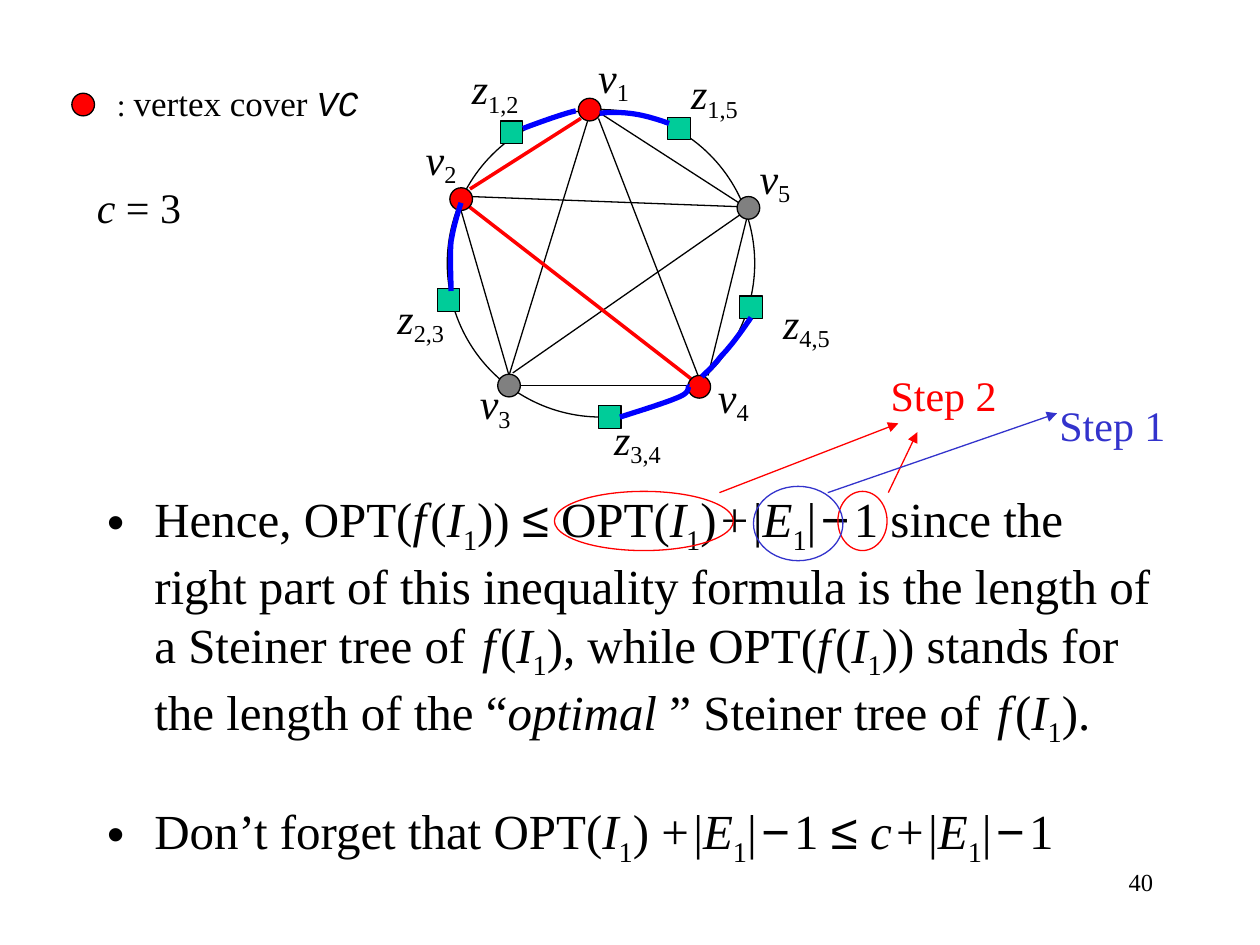
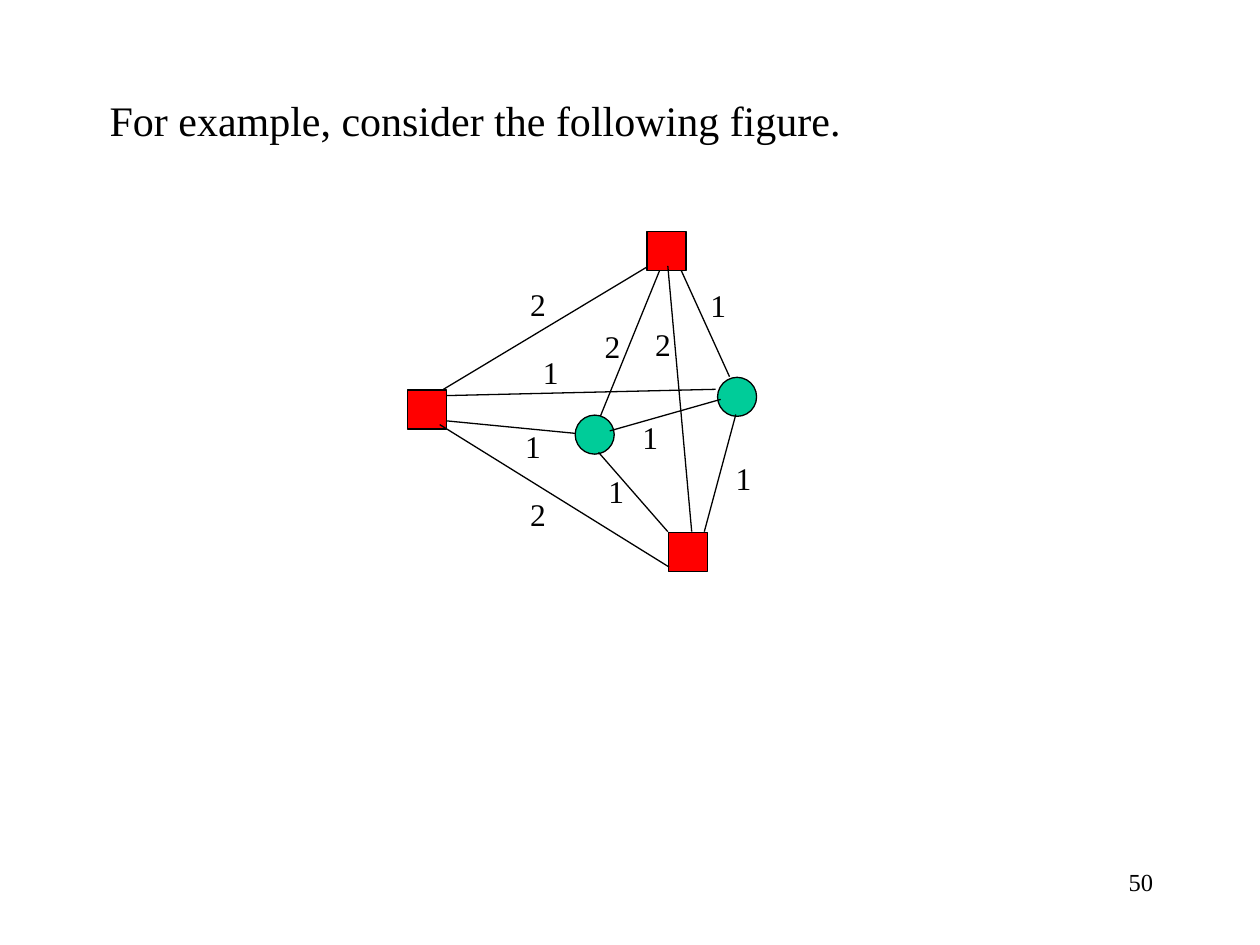
from itertools import groupby
from pptx import Presentation
from pptx.dml.color import RGBColor
from pptx.enum.shapes import MSO_CONNECTOR, MSO_SHAPE
from pptx.enum.text import MSO_ANCHOR, MSO_AUTO_SIZE, PP_ALIGN
from pptx.oxml.ns import qn
from pptx.util import Inches, Pt
from lxml.etree import SubElement

COLORS = {"black": "000000", "red": "FF0000", "blue": "0000FF", "indigo": "3333CC",
          "green": "00CC99", "gray": "808080"}
FONT, SYMBOL_FONT, CODE_FONT = "Times New Roman", "Arial", "Courier New"
SYMBOLS = "≤−"
THIN = 10  # point size of a thin space
CIRCLE, SQUARE = MSO_SHAPE.OVAL, MSO_SHAPE.RECTANGLE

# Text marks: *italic*, _subscript_, `code`, ^slightly smaller^, ~ thin space
MARKS = "*_`^"

# ---- Slide 1: vertex cover and Steiner tree ----
BULLETS = [
    "Hence, OPT(*f*~(*I*_1_)) ≤ OPT(*I*_1_)~+~|*E*_1_|~−~1 since the right part of this "
    "inequality formula is the length of a Steiner tree of ~*f*~(*I*_1_), while "
    "OPT(*f*~(*I*_1_)) stands for the length of the “*optimal *” Steiner tree of "
    "~*f*~(*I*_1_).",
    "Don’t forget that OPT(*I*_1_) +~|*E*_1_|~−~1 ≤ *c*~+~|*E*_1_|~−~1",
]
NOTES = [  # text, box, size, colour
    ("^: ^vertex cover `*VC*`", (0.83, 0.6, 2.44, 0.44), 20, "black"),
    ("*c* = 3", (0.67, 1.39, 2.28, 0.5), 24, "black"),
    ("Step 2", (6.97, 2.88, 2.13, 0.5), 24, "red"),
    ("Step 1", (8.31, 3.12, 1.3, 0.5), 24, "indigo"),
]
STEP_ARROWS = [
    ((5.71, 3.91), (7.13, 3.36), "red"),
    ((7.05, 3.91), (7.28, 3.43), "red"),
    ((6.57, 3.91), (8.39, 3.28), "indigo"),
]
STEP_RINGS = [
    ((4.4, 3.9, 1.42, 0.47), "red"),
    ((6.65, 3.9, 0.39, 0.47), "red"),
    ((5.98, 3.86, 0.71, 0.59), "indigo"),
]
GRAPH_RING = (3.55, 0.87, 2.44, 2.44)
COVER_EDGES = [((4.61, 0.94), (3.73, 1.5)), ((3.71, 1.63), (5.49, 3.01))]
GRAPH_EDGES = [
    ((3.65, 1.64), (4.04, 2.98)), ((4.12, 3.06), (5.46, 3.06)),
    ((5.62, 2.98), (5.93, 1.72)), ((4.75, 0.89), (5.88, 1.62)),
    ((4.67, 0.94), (4.04, 2.98)), ((4.75, 0.94), (5.54, 2.98)),
    ((3.73, 1.56), (5.85, 1.64)), ((5.88, 1.7), (4.07, 2.96)),
]
NODE = 0.18
GRAPH_NODES = [  # centre, shape, colour, label, label centre
    ((5.39, 1.02), SQUARE, "green", "*z*_1,5_", (5.67, 0.76)),
    ((5.96, 2.44), SQUARE, "green", "*z*_4,5_", (6.4, 2.58)),
    ((3.56, 2.38), SQUARE, "green", "*z*_2,3_", (3.34, 2.54)),
    ((4.84, 3.31), SQUARE, "green", "*z*_3,4_", (5.06, 3.5)),
    ((4.06, 1.05), SQUARE, "green", "*z*_1,2_", (3.93, 0.72)),
    ((4.68, 0.87), CIRCLE, "red", "*v*_1_", (4.87, 0.63)),
    ((3.66, 1.58), CIRCLE, "red", "*v*_2_", (3.5, 1.28)),
    ((4.04, 3.06), CIRCLE, "gray", "*v*_3_", (3.93, 3.22)),
    ((5.55, 3.07), CIRCLE, "red", "*v*_4_", (5.82, 3.17)),
    ((5.94, 1.65), CIRCLE, "gray", "*v*_5_", (6.15, 1.43)),
]
LEGEND_DOT = (0.66, 0.83)
TREE_CURVES = [  # start, then control, control, end of each cubic piece
    [(4.15, 1.02), (4.31, 0.96), (4.48, 0.9), (4.57, 0.88)],
    [(3.58, 2.31), (3.58, 2.18), (3.57, 2.04), (3.58, 1.92),
     (3.6, 1.8), (3.63, 1.7), (3.66, 1.61)],
    [(4.92, 3.31), (5.11, 3.25), (5.3, 3.19), (5.39, 3.15),
     (5.49, 3.11), (5.45, 3.06), (5.47, 3.07)],
    [(5.31, 0.98), (5.2, 0.94), (5.09, 0.91), (5, 0.9),
     (4.91, 0.89), (4.83, 0.89), (4.76, 0.9)],
    [(5.96, 2.52), (5.88, 2.64), (5.79, 2.76), (5.72, 2.83),
     (5.66, 2.91), (5.61, 2.95), (5.57, 2.99)],
]

# ---- Slide 2: weighted example ----
EXAMPLE_TITLE = "For example, consider the following figure."
BIG_NODE = 0.31
EXAMPLE_NODES = [
    ((5.85, 3.15), CIRCLE, "green"), ((4.72, 3.45), CIRCLE, "green"),
    ((5.46, 4.38), SQUARE, "red"), ((3.39, 3.25), SQUARE, "red"),
    ((5.29, 1.99), SQUARE, "red"),
]
WEIGHTED_EDGES = [  # from, to, weight, top left of the weight
    ((5.25, 2.11), (4.75, 3.34), 2, (4.7, 2.55)),
    ((5.79, 2.99), (5.39, 2.11), 1, (5.54, 2.22)),
    ((3.52, 3.09), (5.15, 2.11), 2, (4.11, 2.21)),
    ((5.3, 2.11), (5.49, 4.22), 2, (5.1, 2.53)),
    ((4.57, 3.44), (3.54, 3.34), 1, (4.07, 3.34)),
    ((4.84, 3.42), (5.72, 3.17), 1, (5, 3.27)),
    ((4.75, 3.59), (5.3, 4.22), 1, (4.73, 3.7)),
    ((5.84, 3.29), (5.59, 4.22), 1, (5.74, 3.59)),
    ((5.31, 4.5), (3.49, 3.37), 2, (4.11, 3.88)),
    ((3.54, 3.14), (5.68, 3.09), 1, (4.21, 2.75)),
]
EDGES_BEHIND = 3  # the first edges run under the nodes


def rgb(name):
    return RGBColor.from_string(COLORS[name])


def inches(values):
    return [Inches(v) for v in values]


def around(center, w, h):
    return center[0] - w / 2, center[1] - h / 2, w, h


def write(p, text, size, color="black", sub=-20):
    """Turn marked text into runs, one for each change of style."""
    styled, on = [], set()
    for ch in text:
        if ch in MARKS:
            on ^= {ch}
        elif ch == "~":
            styled.append((" ", ("~",)))
        else:
            flags = on | ({"symbol"} if ch in SYMBOLS else set())
            styled.append((ch, tuple(sorted(flags))))
    for flags, group in groupby(styled, key=lambda item: item[1]):
        r = p.add_run()
        r.text = "".join(ch for ch, _ in group)
        points = THIN if "~" in flags else size * 0.9 if "^" in flags else size
        name = SYMBOL_FONT if "symbol" in flags else CODE_FONT if "`" in flags else FONT
        fmt = {"size": Pt(points), "name": name, "bold": False, "italic": "*" in flags}
        for key, value in fmt.items():
            setattr(r.font, key, value)
        r.font.color.rgb = rgb(color)
        if "_" in flags:
            r.font._element.set("baseline", str(sub * 1000))


def set_frame(tf):
    fmt = {"word_wrap": True, "auto_size": MSO_AUTO_SIZE.NONE,
           "vertical_anchor": MSO_ANCHOR.TOP}
    for key, value in fmt.items():
        setattr(tf, key, value)


def place(ph, box):
    ph.left, ph.top, ph.width, ph.height = inches(box)
    set_frame(ph.text_frame)


def add_text(s, text, box, size, color="black", align=PP_ALIGN.LEFT):
    tf = s.shapes.add_textbox(*inches(box)).text_frame
    set_frame(tf)
    tf.paragraphs[0].alignment = align
    write(tf.paragraphs[0], text, size, color)


def add_page_number(s, number):
    add_text(s, str(number), (7.17, 6.83, 2.08, 0.5), 14, align=PP_ALIGN.RIGHT)


def style_outline(sp, fill, line, width):
    sp.shadow.inherit = False
    if fill:
        sp.fill.solid()
        sp.fill.fore_color.rgb = rgb(fill)
    else:
        sp.fill.background()
    sp.line.color.rgb = rgb(line)
    sp.line.width = Pt(width)


def add_figure(s, kind, box, fill=None, line="black"):
    style_outline(s.shapes.add_shape(kind, *inches(box)), fill, line, 0.75)


def add_line(s, start, end, color="black", width=0.75, arrow=False):
    c = s.shapes.add_connector(MSO_CONNECTOR.STRAIGHT, *inches(start + end))
    c.line.color.rgb = rgb(color)
    c.line.width = Pt(width)
    if arrow:
        SubElement(c.line._get_or_add_ln(), qn("a:tailEnd"), type="triangle")
    SubElement(c._element.spPr, qn("a:effectLst"))


def add_curve(s, points, color, width, steps=10):
    """Draw joined cubic curves as short straight segments."""
    path = [points[0]]
    for i in range(0, len(points) - 1, 3):
        for k in range(1, steps + 1):
            t = k / steps
            weights = ((1 - t) ** 3, 3 * t * (1 - t) ** 2, 3 * t * t * (1 - t), t ** 3)
            path.append(tuple(sum(w * pt[axis] for w, pt in zip(weights, points[i:i + 4]))
                              for axis in (0, 1)))
    path = [inches(pt) for pt in path]
    fb = s.shapes.build_freeform(*path[0])
    fb.add_line_segments(path[1:], close=False)
    style_outline(fb.convert_to_shape(), None, color, width)


def build_cover_slide(prs):
    s = prs.slides.add_slide(prs.slide_layouts[1])
    title = s.shapes.title._element
    title.getparent().remove(title)

    # Bullets
    body = s.placeholders[1]
    place(body, (0.75, 3.83, 8.5, 3.15))
    tf = body.text_frame
    for i, text in enumerate(BULLETS):
        p = tf.add_paragraph() if i else tf.paragraphs[0]
        p.space_before = Pt(30 if i else 0)
        write(p, text, 28, sub=-25)

    # Legend and step notes
    add_figure(s, CIRCLE, around(LEGEND_DOT, NODE, NODE), "red")
    for note in NOTES:
        add_text(s, *note)
    for start, end, color in STEP_ARROWS:
        add_line(s, start, end, color, arrow=True)

    # Graph
    for start, end in GRAPH_EDGES:
        add_line(s, start, end)
    for start, end in COVER_EDGES:
        add_line(s, start, end, "red", 2)
    add_figure(s, CIRCLE, GRAPH_RING)
    for center, kind, color, _, _ in GRAPH_NODES:
        add_figure(s, kind, around(center, NODE, NODE), color)
    for *_, label, center in GRAPH_NODES:
        add_text(s, label, around(center, 0.79, 0.54), 24, align=PP_ALIGN.CENTER)
    for points in TREE_CURVES:
        add_curve(s, points, "blue", 3)

    # Rings around the terms of the formula
    for box, color in STEP_RINGS:
        add_figure(s, CIRCLE, box, line=color)
    add_page_number(s, 40)


def build_example_slide(prs):
    s = prs.slides.add_slide(prs.slide_layouts[5])
    place(s.shapes.title, (0.77, 0.7, 6.6, 0.5))
    p = s.shapes.title.text_frame.paragraphs[0]
    p.alignment = PP_ALIGN.LEFT
    write(p, EXAMPLE_TITLE, 24)

    # Graph with edge weights
    for start, end, *_ in WEIGHTED_EDGES[:EDGES_BEHIND]:
        add_line(s, start, end)
    for center, kind, color in EXAMPLE_NODES:
        add_figure(s, kind, around(center, BIG_NODE, BIG_NODE), color)
    for start, end, *_ in WEIGHTED_EDGES[EDGES_BEHIND:]:
        add_line(s, start, end)
    for *_, weight, corner in WEIGHTED_EDGES:
        add_text(s, str(weight), (*corner, 0.35, 0.4), 18)
    add_page_number(s, 50)


def main():
    prs = Presentation()
    prs.slide_width, prs.slide_height = Inches(10), Inches(7.5)
    build_cover_slide(prs)
    build_example_slide(prs)
    prs.save("out.pptx")


if __name__ == "__main__":
    main()
